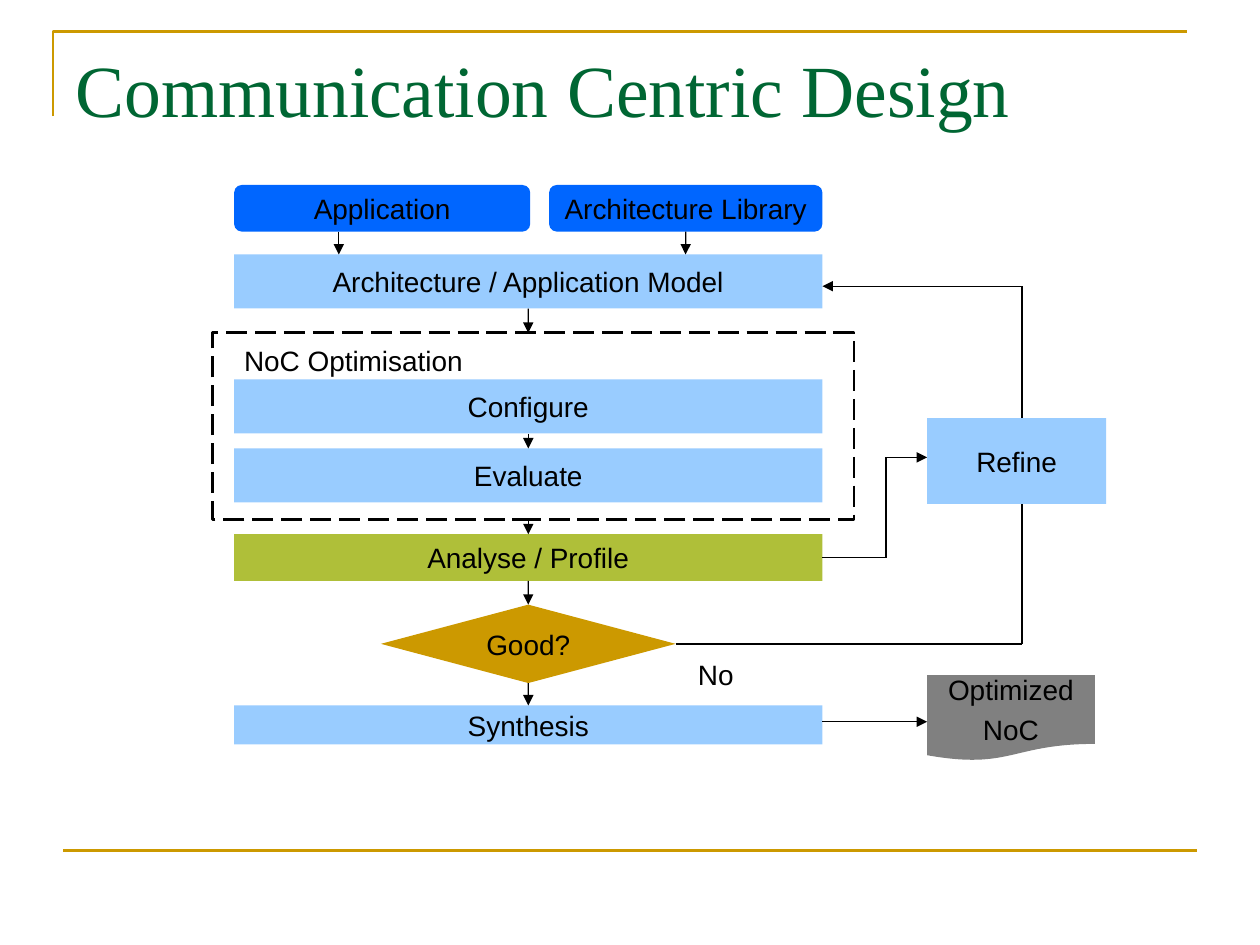
from dataclasses import dataclass
from typing import Optional

from lxml import etree
from pptx import Presentation
from pptx.dml.color import RGBColor
from pptx.enum import dml, shapes, text
from pptx.oxml.ns import qn
from pptx.util import Cm, Pt

COLOURS = {
    "frame": "CC9900",
    "title": "006633",
    "input": "0066FF",
    "step": "99CCFF",
    "analysis": "AFBF39",
    "decision": "CC9900",
    "output": "808080",
    "ink": "000000",
}
SHAPE = shapes.MSO_SHAPE
LEFT, WIDTH = 4.72, 11.86
RIGHT, CENTRE = LEFT + WIDTH, LEFT + WIDTH / 2
SIDE_LEFT = 18.69
BOTTOM_SITE, RIGHT_SITE, TOP_SITE = 2, 3, 0


@dataclass
class Box:
    label: str
    left: float
    top: float
    width: float
    height: float
    colour: str = "step"
    kind: shapes.MSO_SHAPE = SHAPE.RECTANGLE


@dataclass
class Link:
    """A straight line; source and target name the boxes it is joined to."""
    start: tuple[float, float]
    end: tuple[float, float]
    arrow: bool = True
    source: Optional[str] = None
    source_site: int = BOTTOM_SITE
    target: Optional[str] = None


BOXES = [
    Box("Application", LEFT, 3.73, 5.97, 0.94, "input", SHAPE.ROUNDED_RECTANGLE),
    Box("Architecture Library", 11.07, 3.73, 5.51, 0.94, "input", SHAPE.ROUNDED_RECTANGLE),
    Box("Architecture / Application Model", LEFT, 5.13, WIDTH, 1.09),
    Box("Configure", LEFT, 7.65, WIDTH, 1.09),
    Box("Evaluate", LEFT, 9.04, WIDTH, 1.09),
    Box("Analyse / Profile", LEFT, 10.77, WIDTH, 0.94, "analysis"),
    Box("Good?", CENTRE - 2.97, 12.19, 5.94, 1.58, "decision", SHAPE.FLOWCHART_DECISION),
    Box("Synthesis", LEFT, 14.22, WIDTH, 0.79),
    Box("Optimized\nNoC", SIDE_LEFT, 13.61, 3.38, 1.73, "output", SHAPE.FLOWCHART_DOCUMENT),
]
REFINE = Box("Refine", SIDE_LEFT, 8.43, 3.61, 1.73)
OPTIMISATION = Box("", 4.29, 6.71, 12.93, 3.76)
LABELS = [
    Box("NoC Optimisation", 4.67, 6.81, 5.3, 0.94),
    Box("No", 13.82, 13.13, 1.4, 0.94),
]

FEEDBACK_X, FEEDBACK_Y, DECISION_Y = 20.6, 5.77, 12.98
BRANCH_X, BRANCH_Y, ANALYSIS_Y = 17.86, 9.22, 11.24
LINKS = [
    Link((6.83, 4.67), (6.83, 5.13)),
    Link((13.82, 4.67), (13.82, 5.13), source="Architecture Library"),
    Link((CENTRE, 6.22), (CENTRE, 6.71), source="Architecture / Application Model"),
    Link((CENTRE, 8.74), (CENTRE, 9.04), source="Configure", target="Evaluate"),
    Link((CENTRE, 10.47), (CENTRE, 10.77), target="Analyse / Profile"),
    Link((CENTRE, 11.71), (CENTRE, 12.19), source="Analyse / Profile", target="Good?"),
    Link((CENTRE, 13.77), (CENTRE, 14.22), source="Good?", target="Synthesis"),
    Link((RIGHT, 14.55), (SIDE_LEFT, 14.55)),
    # Decision back to the model, passing behind Refine
    Link((13.62, DECISION_Y), (FEEDBACK_X, DECISION_Y), False, "Good?", RIGHT_SITE),
    Link((FEEDBACK_X, FEEDBACK_Y), (FEEDBACK_X, DECISION_Y), False),
    Link((FEEDBACK_X, FEEDBACK_Y), (RIGHT, FEEDBACK_Y)),
    # Analysis to Refine
    Link((RIGHT, ANALYSIS_Y), (BRANCH_X, ANALYSIS_Y), False, "Analyse / Profile", RIGHT_SITE),
    Link((BRANCH_X, ANALYSIS_Y), (BRANCH_X, BRANCH_Y), False),
    Link((BRANCH_X, BRANCH_Y), (SIDE_LEFT, BRANCH_Y)),
]


def rgb(name: str) -> RGBColor:
    return RGBColor.from_string(COLOURS[name])


def bounds(box: Box) -> tuple:
    return Cm(box.left), Cm(box.top), Cm(box.width), Cm(box.height)


def write(frame, label: str, alignment, wrap: bool) -> None:
    frame.word_wrap = wrap
    frame.text = label
    for index, paragraph in enumerate(frame.paragraphs):
        paragraph.alignment = alignment
        if index:
            paragraph.space_before = Pt(4)
        paragraph.font.name = "Arial"
        paragraph.font.size = Pt(16)
        paragraph.font.color.rgb = rgb("ink")


def add_box(group, box: Box):
    shape = group.shapes.add_shape(box.kind, *bounds(box))
    shape.shadow.inherit = False
    shape.fill.solid()
    shape.fill.fore_color.rgb = rgb(box.colour)
    shape.line.fill.background()
    shape.text_frame.vertical_anchor = text.MSO_ANCHOR.MIDDLE
    write(shape.text_frame, box.label, text.PP_ALIGN.CENTER, wrap=False)
    return shape


def add_outline(group, box: Box) -> None:
    shape = group.shapes.add_shape(box.kind, *bounds(box))
    shape.shadow.inherit = False
    shape.fill.background()
    shape.line.color.rgb = rgb("ink")
    shape.line.width = Pt(1.5)
    shape.line.dash_style = dml.MSO_LINE.LONG_DASH


def add_label(group, box: Box) -> None:
    label = group.shapes.add_textbox(*bounds(box))
    write(label.text_frame, box.label, text.PP_ALIGN.LEFT, wrap=True)


def add_line(parent, start: tuple, end: tuple, colour: str, width: float):
    connector = parent.shapes.add_connector(
        shapes.MSO_CONNECTOR.STRAIGHT, *(Cm(value) for value in (*start, *end)))
    connector.line.color.rgb = rgb(colour)
    connector.line.width = Pt(width)
    etree.SubElement(connector._element.spPr, qn("a:effectLst"))
    return connector


def add_link(group, link: Link, drawn: dict) -> None:
    connector = add_line(group, link.start, link.end, "ink", 0.75)
    if link.source:
        connector.begin_connect(drawn[link.source], link.source_site)
    if link.target:
        connector.end_connect(drawn[link.target], TOP_SITE)
    if link.arrow:
        etree.SubElement(connector.line._get_or_add_ln(), qn("a:tailEnd"), type="triangle")


def add_frame(slide) -> None:
    """Draw the corner rule above the title and the rule at the foot."""
    builder = slide.shapes.build_freeform(Cm(1.07), Cm(2.34))
    builder.add_line_segments([(Cm(1.07), Cm(0.64)), (Cm(23.93), Cm(0.64))], close=False)
    corner = builder.convert_to_shape()
    corner.shadow.inherit = False
    corner.fill.background()
    corner.line.color.rgb = rgb("frame")
    corner.line.width = Pt(1.5)
    add_line(slide, (1.27, 17.15), (24.13, 17.15), "frame", 1.5)


def set_title(slide) -> None:
    title = slide.shapes.title
    title.left, title.top, title.width, title.height = Cm(1.27), Cm(0.76), Cm(22.86), Cm(3.18)
    frame = title.text_frame
    frame.text = "Communication Centric Design"
    frame.vertical_anchor = text.MSO_ANCHOR.TOP
    frame.auto_size = text.MSO_AUTO_SIZE.NONE
    paragraph = frame.paragraphs[0]
    paragraph.alignment = text.PP_ALIGN.LEFT
    paragraph.font.name = "Times New Roman"
    paragraph.font.size = Pt(42)
    paragraph.font.color.rgb = rgb("title")


def main() -> None:
    presentation = Presentation()
    presentation.slide_width, presentation.slide_height = Cm(25.4), Cm(19.05)
    slide = presentation.slides.add_slide(presentation.slide_layouts[5])
    add_frame(slide)
    set_title(slide)

    flowchart = slide.shapes.add_group_shape()
    drawn = {box.label: add_box(flowchart, box) for box in BOXES}
    add_outline(flowchart, OPTIMISATION)
    for link in LINKS:
        add_link(flowchart, link, drawn)
    add_box(flowchart, REFINE)
    for label in LABELS:
        add_label(flowchart, label)
    presentation.save("out.pptx")


if __name__ == "__main__":
    main()
